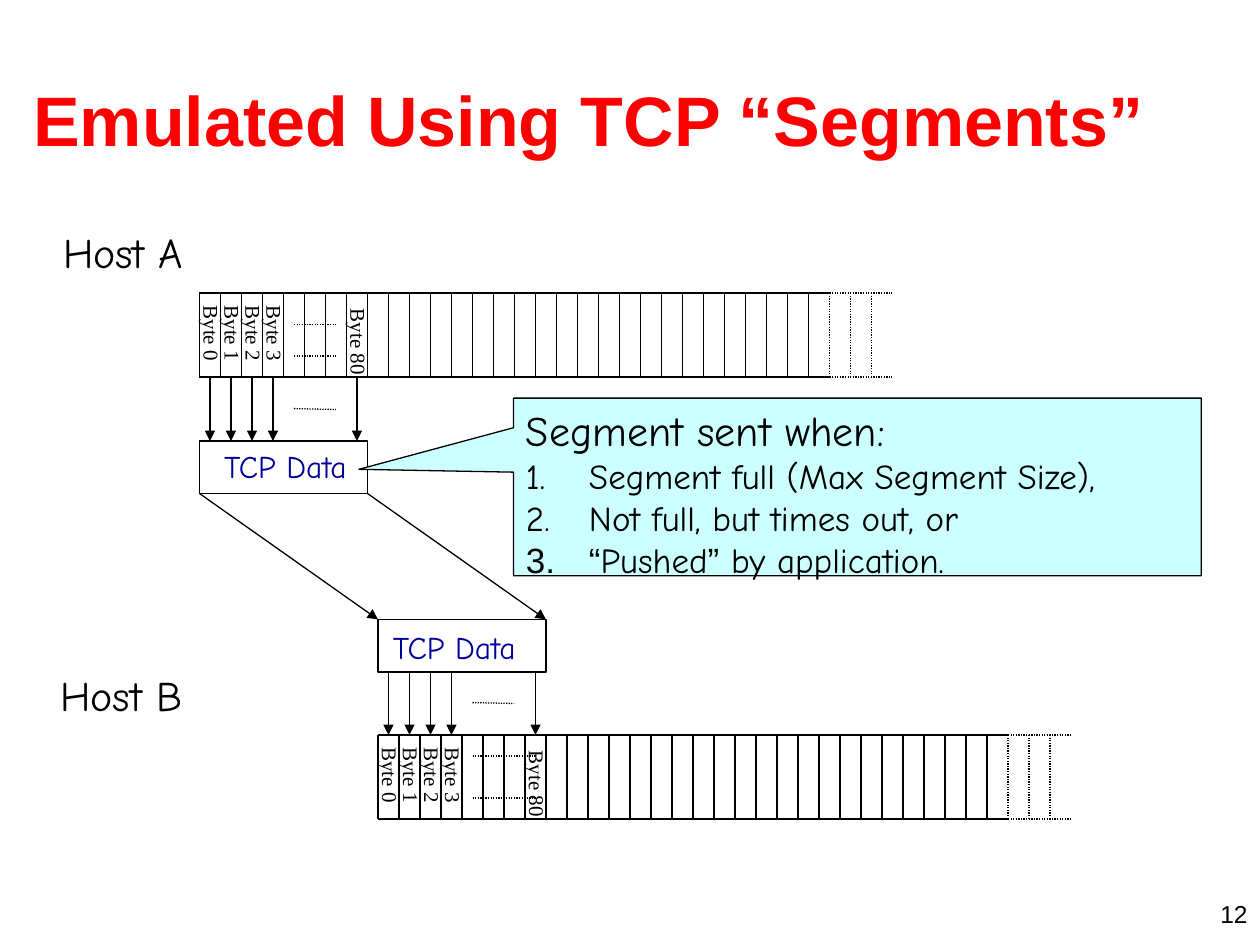
from lxml.etree import SubElement
from pptx import Presentation
from pptx.dml.color import RGBColor
from pptx.enum.dml import MSO_LINE
from pptx.enum.shapes import MSO_CONNECTOR as Link, MSO_SHAPE as Shape
from pptx.enum.text import MSO_ANCHOR as Anchor, MSO_AUTO_SIZE as AutoSize, PP_ALIGN as Align
from pptx.oxml.ns import qn
from pptx.util import Pt

SANS, HAND, SERIF = "Arial", "Comic Neue", "Times New Roman"
BLACK, NAVY, RED, WHITE, AQUA = "000000", "000099", "FF0000", "FFFFFF", "CCFFFF"
CELL, ROW_HEIGHT = 12, 48
SOLID_CELLS, ALL_CELLS = 30, 33
LABELLED = {0: "Byte 0", 1: "Byte 1", 2: "Byte 2", 3: "Byte 3", 7: "Byte 80"}


def color(hex_code):
    return RGBColor.from_string(hex_code)


class SlideBuilder:
    def __init__(self, slide, line_width=0.75):
        self.slide = slide
        self.line_width = line_width

    def run(self, paragraph, words, size, font, ink=BLACK, bold=False):
        piece = paragraph.add_run()
        piece.text = words
        piece.font.size = Pt(size)
        piece.font.name = font
        piece.font.bold = bold
        piece.font.color.rgb = color(ink)

    def text(self, words, left, top, width, height, size, font, ink=BLACK, bold=False,
             align=Align.LEFT, anchor=Anchor.TOP, wrap=True, rotation=0):
        box = self.slide.shapes.add_textbox(Pt(left), Pt(top), Pt(width), Pt(height))
        box.rotation = rotation
        frame = box.text_frame
        frame.word_wrap = wrap
        frame.vertical_anchor = anchor
        frame.auto_size = AutoSize.NONE if wrap else AutoSize.SHAPE_TO_FIT_TEXT
        paragraph = frame.paragraphs[0]
        paragraph.alignment = align
        self.run(paragraph, words, size, font, ink, bold)

    def line(self, x1, y1, x2, y2, arrow=False, dotted=False):
        link = self.slide.shapes.add_connector(Link.STRAIGHT, Pt(x1), Pt(y1), Pt(x2), Pt(y2))
        link.line.width = Pt(self.line_width)
        link.line.color.rgb = color(BLACK)
        if dotted:
            link.line.dash_style = MSO_LINE.ROUND_DOT
        properties = link._element.spPr
        if arrow:
            SubElement(properties.find(qn("a:ln")), qn("a:tailEnd"), type="triangle")
        SubElement(properties, qn("a:effectLst"))

    def shape(self, kind, left, top, width, height, fill):
        item = self.slide.shapes.add_shape(kind, Pt(left), Pt(top), Pt(width), Pt(height))
        item.shadow.inherit = False
        item.fill.solid()
        item.fill.fore_color.rgb = color(fill)
        item.line.color.rgb = color(BLACK)
        item.line.width = Pt(self.line_width)
        return item

    def byte_stream(self, left, top, gap_end):
        """Row of byte cells whose dotted end shows that it goes on."""
        solid_end = left + SOLID_CELLS * CELL
        for y in (top, top + ROW_HEIGHT):
            self.line(left, y, solid_end, y)
            self.line(solid_end, y, solid_end + 36, y, dotted=True)
        for cell in range(ALL_CELLS):
            x = left + cell * CELL
            self.line(x, top, x, top + ROW_HEIGHT, dotted=cell >= SOLID_CELLS)
        for cell, label in LABELLED.items():
            width, middle = (52, 28) if cell == 7 else (46, 23)
            self.text(label, left + cell * CELL + 7 - width / 2, top + middle - 10.8,
                      width, 21.6, 12, SERIF, wrap=False, rotation=89.8)
        for y in (top + (18 if gap_end == 78 else 12), top + 36):
            self.line(left + 54, y, left + gap_end, y, dotted=True)

    def byte_arrows(self, left, top):
        for cell in LABELLED:
            x = left + (cell + 0.5) * CELL
            self.line(x, top, x, top + 36, arrow=True)
        self.line(left + 54, top + 17.5, left + 78, top + 18, dotted=True)

    def segment(self, left, top, label_left, label_top):
        self.shape(Shape.RECTANGLE, left, top, 96, 30, WHITE)
        self.text("TCP Data", label_left, label_top, 86, 29, 18, HAND, NAVY, wrap=False)

    def callout(self, left, top, width, height, heading, points):
        note = self.shape(Shape.RECTANGULAR_CALLOUT, left, top, width, height, AQUA)
        note.adjustments[0] = -0.725
        note.adjustments[1] = -0.099
        frame = note.text_frame
        frame.word_wrap = True
        frame.vertical_anchor = Anchor.TOP
        for index, pieces in enumerate([[(heading, HAND)], *points]):
            paragraph = frame.add_paragraph() if index else frame.paragraphs[0]
            paragraph.alignment = Align.LEFT
            for words, font in pieces:
                self.run(paragraph, words, 20 if index else 24, font)
            indent = paragraph._p.get_or_add_pPr()
            indent.set("marL", str(Pt(36)))
            indent.set("indent", str(-Pt(36)))
            if index:
                SubElement(SubElement(indent, qn("a:buClr")), qn("a:srgbClr"), val=BLACK)
                SubElement(indent, qn("a:buAutoNum"), type="arabicPeriod")


def main():
    deck = Presentation()
    deck.slide_width, deck.slide_height = Pt(720), Pt(540)
    page = SlideBuilder(deck.slides.add_slide(deck.slide_layouts[6]))

    # Title and page number
    page.text("12", 552, 510, 168, 18, 14, SANS, align=Align.RIGHT)
    page.text("Emulated Using TCP “Segments”", 12, 23, 690, 90, 40, SANS, RED,
              bold=True, anchor=Anchor.MIDDLE)

    # Host A: bytes gathered into a segment
    host_a, host_b = 114, 216
    page.text("Host A", 29, 126, 83, 36, 24, HAND, wrap=False)
    page.byte_stream(host_a, 167.5, gap_end=78)
    page.segment(host_a, 252, 121, 252)
    page.byte_arrows(host_a, 216)

    # Host B: segment unpacked into bytes
    page.text("Host B", 27.5, 379, 84, 36, 24, HAND, wrap=False)
    page.byte_stream(host_b, 420, gap_end=90)
    page.segment(host_b, 354, 217.5, 355.5)
    page.byte_arrows(host_b, 384)

    # Transfer between the hosts
    for edge in (0, 96):
        page.line(host_a + edge, 282, host_b + edge, 354, arrow=True)

    # When a segment is sent
    page.callout(293.5, 227.5, 393, 101.5, "Segment sent when:", [
        [("Segment full (Max Segment Size),", HAND)],
        [("Not full, but times out, or", HAND)],
        [("“", SANS), ("Pushed", HAND), ("”", SANS), (" by application.", HAND)],
    ])

    deck.save("out.pptx")


if __name__ == "__main__":
    main()
